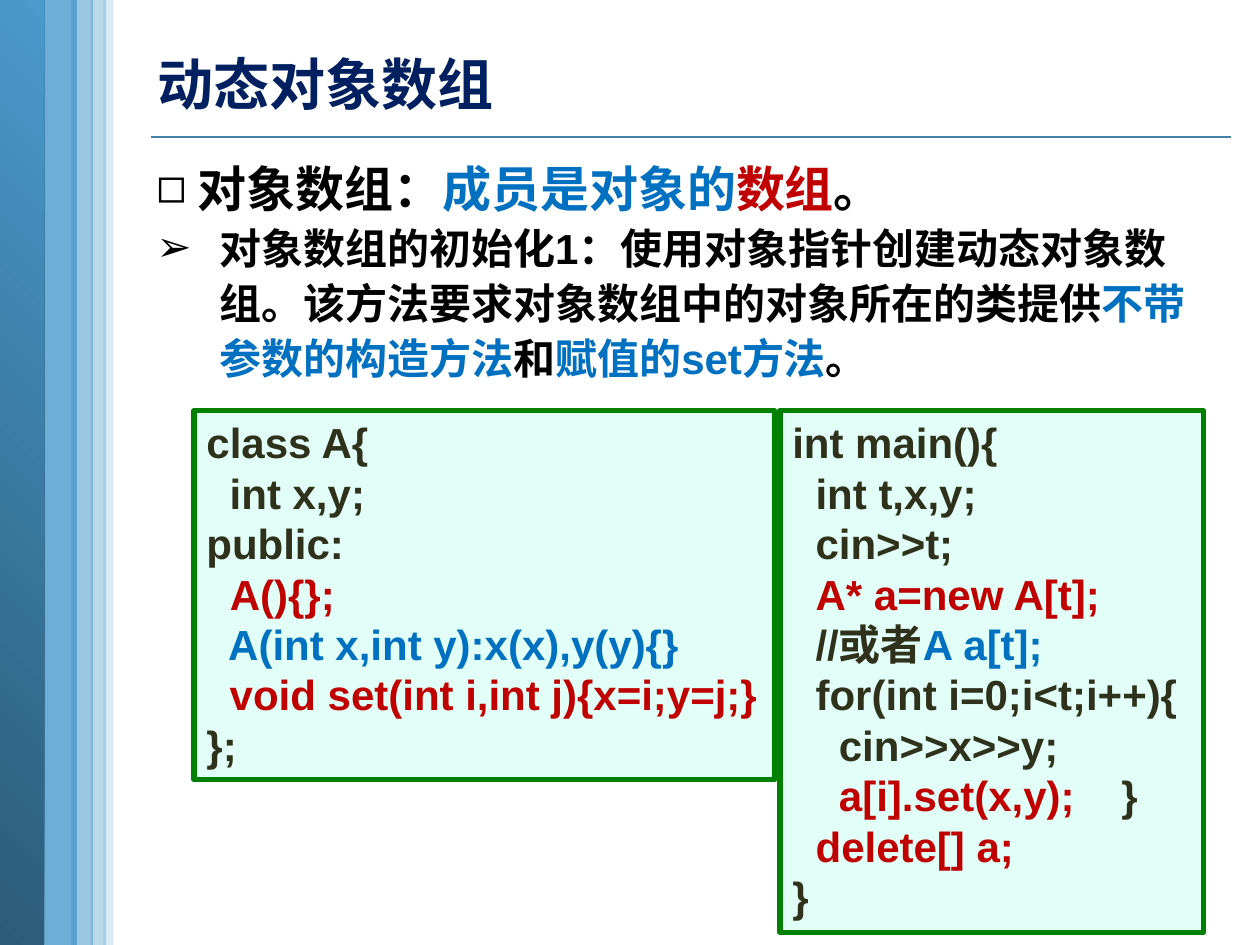
from dataclasses import dataclass

from lxml.etree import SubElement
from pptx import Presentation
from pptx.dml.color import RGBColor
from pptx.enum.shapes import MSO_CONNECTOR, MSO_SHAPE
from pptx.enum.text import MSO_ANCHOR, MSO_AUTO_SIZE, PP_ALIGN
from pptx.oxml.ns import qn
from pptx.util import Inches, Pt


@dataclass(frozen=True)
class Theme:
    font: str = "Arial"
    title: str = "002060"
    black: str = "000000"
    blue: str = "0070C0"
    red: str = "C00000"
    code: str = "30311D"
    code_fill: str = "E1FFF7"
    code_line: str = "008000"
    bar: str = "4A9ACC"
    rule: str = "4582A7"
    title_size: int = 32
    lead_size: int = 28
    text_size: int = 24


theme = Theme()


def add_spans(para, spans, size):
    """Write (text, colour) pairs into a paragraph as bold runs."""
    para.alignment = PP_ALIGN.LEFT
    para.space_before = Pt(0)
    for text, color in spans:
        span = para.add_run()
        span.text = text
        span.font.name = theme.font
        span.font.size = Pt(size)
        span.font.bold = True
        span.font.color.rgb = RGBColor.from_string(color)


def modify_color(color, name, percent):
    """Add a modifier such as alpha or shade to a colour element."""
    SubElement(color, qn(f"a:{name}")).set("val", str(percent * 1000))


deck = Presentation()
deck.slide_width, deck.slide_height = Inches(10), Inches(7.5)
page = deck.slides.add_slide(deck.slide_layouts[1])

# Rule under the title
rule = page.shapes.add_connector(
    MSO_CONNECTOR.STRAIGHT, Inches(1.2), Inches(1.09), Inches(9.77), Inches(1.09))
rule.line.color.rgb = RGBColor.from_string(theme.rule)
rule.line.width = Pt(1)
SubElement(rule.element.spPr, qn("a:effectLst"))

# Side bars: left, top, width, height, opacity (None for the gradient)
bars = [
    (0.3, 0, 0.31, 7.53, 80),
    (-0.01, 0, 0.36, 7.5, None),
    (0.82, -0.02, 0.08, 7.52, 20),
    (0.56, 0, 0.18, 7.51, 54),
    (0.72, 0, 0.12, 7.52, 37),
]
for *place, opacity in bars:
    bar = page.shapes.add_shape(MSO_SHAPE.RECTANGLE, *map(Inches, place))
    bar.shadow.inherit = False
    bar.line.fill.background()
    if opacity is None:
        bar.fill.gradient()
        bar.fill.gradient_angle = 45
        for stop in bar.fill.gradient_stops:
            stop.color.rgb = RGBColor.from_string(theme.bar)
    else:
        bar.fill.solid()
        bar.fill.fore_color.rgb = RGBColor.from_string(theme.bar)
    first_color = next(bar.element.spPr.iter(qn("a:srgbClr")))
    if opacity is None:
        modify_color(first_color, "shade", 30)
    else:
        modify_color(first_color, "alpha", opacity)

# Title and body placeholders
title, body = page.shapes.title, page.placeholders[1]
for box, place in ((title, (1.15, 0.34, 2.91, 0.64)), (body, (1.14, 1.16, 8.41, 1.91))):
    box.left, box.top, box.width, box.height = map(Inches, place)
    box.text_frame.auto_size = MSO_AUTO_SIZE.NONE
    box.text_frame.vertical_anchor = MSO_ANCHOR.TOP
title.text_frame.word_wrap = False
add_spans(title.text_frame.paragraphs[0], [("动态对象数组", theme.title)], theme.title_size)

# Body list: bullet, hanging indent, size, spans
items = [
    ("◻", 0.33, theme.lead_size, [
        ("对象数组：", theme.black),
        ("成员是对象的", theme.blue),
        ("数组", theme.red),
        ("。", theme.black),
    ]),
    ("➢", 0.5, theme.text_size, [
        ("对象数组的初始化1：使用对象指针创建动态对象数组。"
         "该方法要求对象数组中的对象所在的类提供", theme.black),
        ("不带参数的构造方法", theme.blue),
        ("和", theme.black),
        ("赋值的set方法", theme.blue),
        ("。", theme.black),
    ]),
]
for index, (bullet, indent, size, spans) in enumerate(items):
    frame = body.text_frame
    para = frame.add_paragraph() if index else frame.paragraphs[0]
    para.line_spacing = 1.1
    add_spans(para, spans, size)
    properties = para._p.get_or_add_pPr()
    properties.set("marL", str(Inches(indent)))
    properties.set("indent", str(-Inches(indent)))
    SubElement(properties, qn("a:buFont")).set("typeface", theme.font)
    SubElement(properties, qn("a:buChar")).set("char", bullet)

# Code boxes: left, width, height, lines of spans
class_code = [
    [("class A{", theme.code)],
    [("  int x,y;", theme.code)],
    [("public:", theme.code)],
    [("  ", theme.code), ("A(){};", theme.red)],
    [("  A(int x,int y):x(x),y(y){}", theme.blue)],
    [("  void set(int i,int j){x=i;y=j;}", theme.red)],
    [("};", theme.code)],
]
main_code = [
    [("int main(){", theme.code)],
    [("  int t,x,y;", theme.code)],
    [("  cin>>t;", theme.code)],
    [("  ", theme.code), ("A* a=new A[t];", theme.red)],
    [("  //或者", theme.code), ("A a[t];", theme.blue)],
    [("  for(int i=0;i<t;i++){", theme.code)],
    [("    cin>>x>>y;", theme.code)],
    [("    ", theme.code), ("a[i].set(x,y);    ", theme.red), ("}", theme.code)],
    [("  ", theme.code), ("delete[] a;", theme.red)],
    [("}", theme.code)],
]
for left, width, height, lines in (
        (1.54, 4.61, 2.93, class_code), (6.19, 3.36, 4.14, main_code)):
    box = page.shapes.add_shape(
        MSO_SHAPE.RECTANGLE, Inches(left), Inches(3.26), Inches(width), Inches(height))
    box.shadow.inherit = False
    box.fill.solid()
    box.fill.fore_color.rgb = RGBColor.from_string(theme.code_fill)
    box.line.color.rgb = RGBColor.from_string(theme.code_line)
    box.line.width = Pt(3)
    frame = box.text_frame
    frame.word_wrap = True
    frame.vertical_anchor = MSO_ANCHOR.TOP
    for index, spans in enumerate(lines):
        para = frame.add_paragraph() if index else frame.paragraphs[0]
        add_spans(para, spans, theme.text_size)

deck.save("out.pptx")
